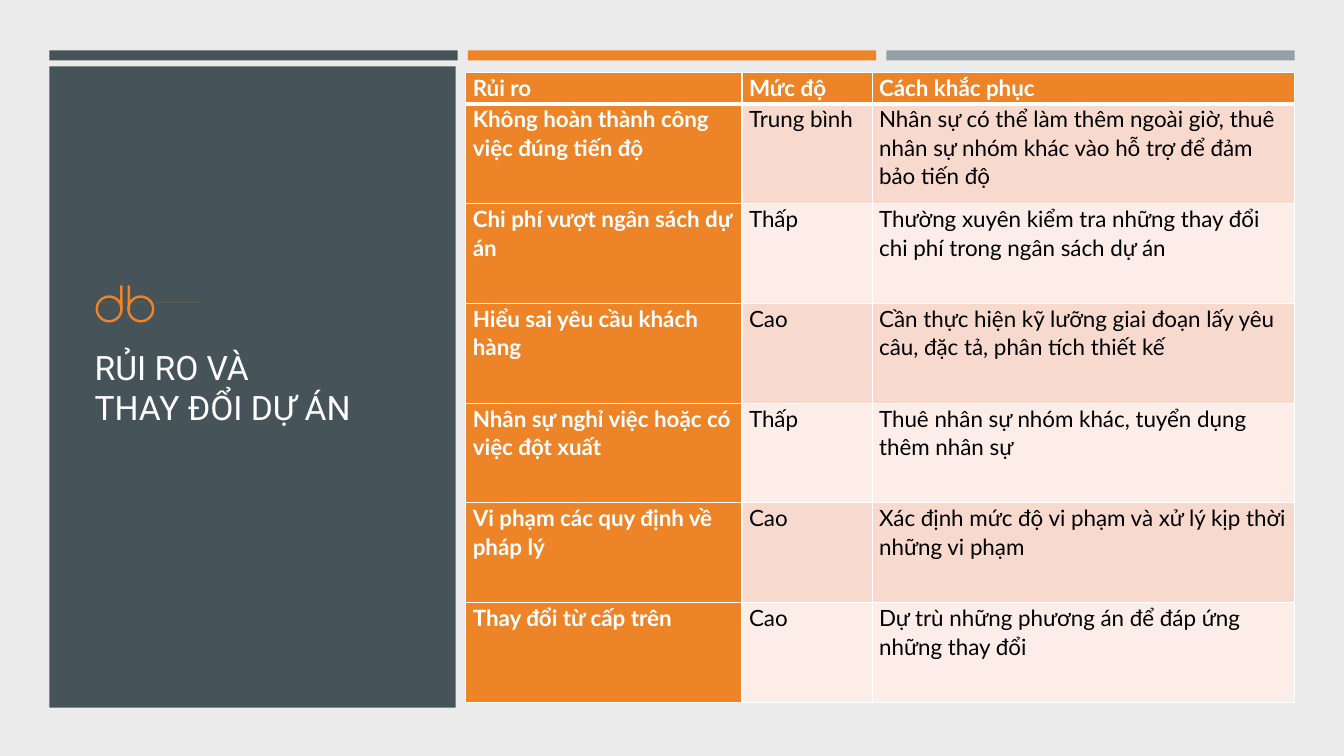
from math import cos, radians, sin

from lxml import etree
from pptx import Presentation
from pptx.dml.color import RGBColor
from pptx.enum.shapes import MSO_SHAPE
from pptx.enum.text import MSO_ANCHOR
from pptx.oxml.ns import qn
from pptx.util import Inches, Pt

RECTANGLE = MSO_SHAPE.RECTANGLE
ROUNDED = MSO_SHAPE.ROUNDED_RECTANGLE
DONUT = MSO_SHAPE.DONUT
MIDDLE = MSO_ANCHOR.MIDDLE
TOP = MSO_ANCHOR.TOP

COLORS = {
    "background": "EBEBEB",
    "slate": "465359",
    "orange": "ED8428",
    "gray": "969FA7",
    "white": "FFFFFF",
    "black": "000000",
    "band_dark": "F8D9CD",
    "band_light": "FCEDE8",
}

RISKS = [
    ("Rủi ro", "Mức độ", "Cách khắc phục"),
    ("Không hoàn thành công việc đúng tiến độ", "Trung bình",
     "Nhân sự có thể làm thêm ngoài giờ, thuê nhân sự nhóm khác vào hỗ trợ để đảm bảo tiến độ"),
    ("Chi phí vượt ngân sách dự án", "Thấp",
     "Thường xuyên kiểm tra những thay đổi chi phí trong ngân sách dự án"),
    ("Hiểu sai yêu cầu khách hàng", "Cao",
     "Cần thực hiện kỹ lưỡng giai đoạn lấy yêu câu, đặc tả, phân tích thiết kế"),
    ("Nhân sự nghỉ việc hoặc có việc đột xuất", "Thấp",
     "Thuê nhân sự nhóm khác, tuyển dụng thêm nhân sự"),
    ("Vi phạm các quy định về pháp lý", "Cao",
     "Xác định mức độ vi phạm và xử lý kịp thời những vi phạm"),
    ("Thay đổi từ cấp trên", "Cao",
     "Dự trù những phương án để đáp ứng những thay đổi"),
]
COLUMN_WIDTHS = (2.74, 1.29, 4.19)
HEADER_HEIGHT, RISK_HEIGHT = 0.31, 0.99

ICON_AXIS = 1.24
LEFT_BARREL = [
    (0.98, 3), (0.98, 2.99), (1.05, 2.82), (1.09, 2.78), (1.12, 2.69), (1.13, 2.67),
    (1.17, 2.66), (1.21, 2.68), (1.22, 2.69), (1.22, 2.79), (1.2, 2.8), (1.19, 2.79),
    (1.19, 2.7), (1.17, 2.69), (1.14, 2.7), (1.11, 2.79), (1.07, 2.83), (1, 3),
]


class SlideBuilder:
    def __init__(self, presentation):
        self.slide = presentation.slides.add_slide(presentation.slide_layouts[6])
        background = self.slide.background.fill
        background.solid()
        background.fore_color.rgb = self.color("background")

    def color(self, name):
        return RGBColor.from_string(COLORS[name])

    def paint(self, shape, color):
        shape.shadow.inherit = False
        shape.fill.solid()
        shape.fill.fore_color.rgb = self.color(color)
        shape.line.fill.background()

    def style_text(self, frame, size, font, color, bold=False, spacing=1.0):
        for paragraph in frame.paragraphs:
            paragraph.line_spacing = spacing
            for run in paragraph.runs:
                run.font.size = Pt(size)
                run.font.name = font
                run.font.bold = bold
                run.font.color.rgb = self.color(color)

    def shape(self, kind, box, color, group=None, adjustment=None):
        parent = group or self.slide
        shape = parent.shapes.add_shape(kind, *map(Inches, box))
        if adjustment is not None:
            shape.adjustments[0] = adjustment
        self.paint(shape, color)

    def outline(self, points, color, group):
        builder = group.shapes.build_freeform(*points[0], scale=Inches(1))
        builder.add_line_segments(points[1:], close=True)
        self.paint(builder.convert_to_shape(), color)

    def arc_band(self, center, outer, inner, start, end, color, group):
        angles = range(start, end + 1, 10)

        def edge(radii, steps):
            return [(center[0] + radii[0] * cos(radians(a)),
                     center[1] + radii[1] * sin(radians(a))) for a in steps]

        self.outline(edge(outer, angles) + edge(inner, reversed(angles)), color, group)

    def title(self, text, box):
        frame = self.slide.shapes.add_textbox(*map(Inches, box)).text_frame
        frame.word_wrap = True
        frame.vertical_anchor = MIDDLE
        frame.text = text
        self.style_text(frame, 24, "Roboto", "white")

    def binoculars(self):
        icon = self.slide.shapes.add_group_shape()
        for side in (-1, 1):
            barrel = [(ICON_AXIS + side * (ICON_AXIS - x), y) for x, y in LEFT_BARREL]
            if side == -1:
                barrel = LEFT_BARREL
            self.outline(barrel, "orange", icon)
            lens_x, lens_y = ICON_AXIS + side * 0.157, 3.065
            self.shape(DONUT, (lens_x - 0.135, lens_y - 0.135, 0.27, 0.27), "orange", icon, 0.09)
            self.arc_band((lens_x, lens_y), (0.09, 0.09), (0.06, 0.06), 180, 270, "orange", icon)
            self.shape(ROUNDED, (ICON_AXIS + side * 0.037 - 0.012, 2.83, 0.025, 0.25),
                       "orange", icon, 0.5)
        self.arc_band((ICON_AXIS, 2.89), (0.11, 0.07), (0.08, 0.04), 180, 360, "orange", icon)

    def cell_borders(self, cell, widths):
        properties = cell._tc.get_or_add_tcPr()
        for side, width in widths.items():
            line = etree.SubElement(properties, qn(f"a:ln{side}"), w=str(Pt(width)))
            fill = etree.SubElement(line, qn("a:solidFill"))
            etree.SubElement(fill, qn("a:srgbClr"), val=COLORS["white"])

    def table(self, rows, left, top):
        height = HEADER_HEIGHT + RISK_HEIGHT * (len(rows) - 1)
        table = self.slide.shapes.add_table(
            len(rows), len(COLUMN_WIDTHS), Inches(left), Inches(top),
            Inches(sum(COLUMN_WIDTHS)), Inches(height)).table
        for column, width in zip(table.columns, COLUMN_WIDTHS):
            column.width = Inches(width)
        for row_index, texts in enumerate(rows):
            table.rows[row_index].height = Inches(RISK_HEIGHT if row_index else HEADER_HEIGHT)
            band = "band_dark" if row_index % 2 else "band_light"
            borders = {"L": 1, "R": 1, "T": 3 if row_index == 1 else 1,
                       "B": 1 if row_index else 3}
            for column_index, text in enumerate(texts):
                heading = row_index == 0 or column_index == 0
                cell = table.cell(row_index, column_index)
                cell.margin_left = cell.margin_right = Inches(0.07)
                cell.margin_top = cell.margin_bottom = 0
                cell.vertical_anchor = TOP
                self.cell_borders(cell, borders)
                cell.fill.solid()
                cell.fill.fore_color.rgb = self.color("orange" if heading else band)
                cell.text_frame.text = text
                self.style_text(cell.text_frame, 16, "Lato",
                                "white" if heading else "black", heading, 1.07)


def main():
    presentation = Presentation()
    presentation.slide_width = Inches(13.33)
    presentation.slide_height = Inches(7.5)
    builder = SlideBuilder(presentation)
    for index, color in enumerate(("slate", "orange", "gray")):
        builder.shape(RECTANGLE, (0.49 + 4.15 * index, 0.5, 4.05, 0.1), color)
    builder.shape(RECTANGLE, (0.49, 0.66, 4.03, 6.36), "slate")
    builder.title("RỦI RO VÀ\vTHAY ĐỔI DỰ ÁN", (0.84, 2.9, 3.32, 1.88))
    builder.binoculars()
    builder.table(RISKS, 4.62, 0.72)
    presentation.save("out.pptx")


if __name__ == "__main__":
    main()
